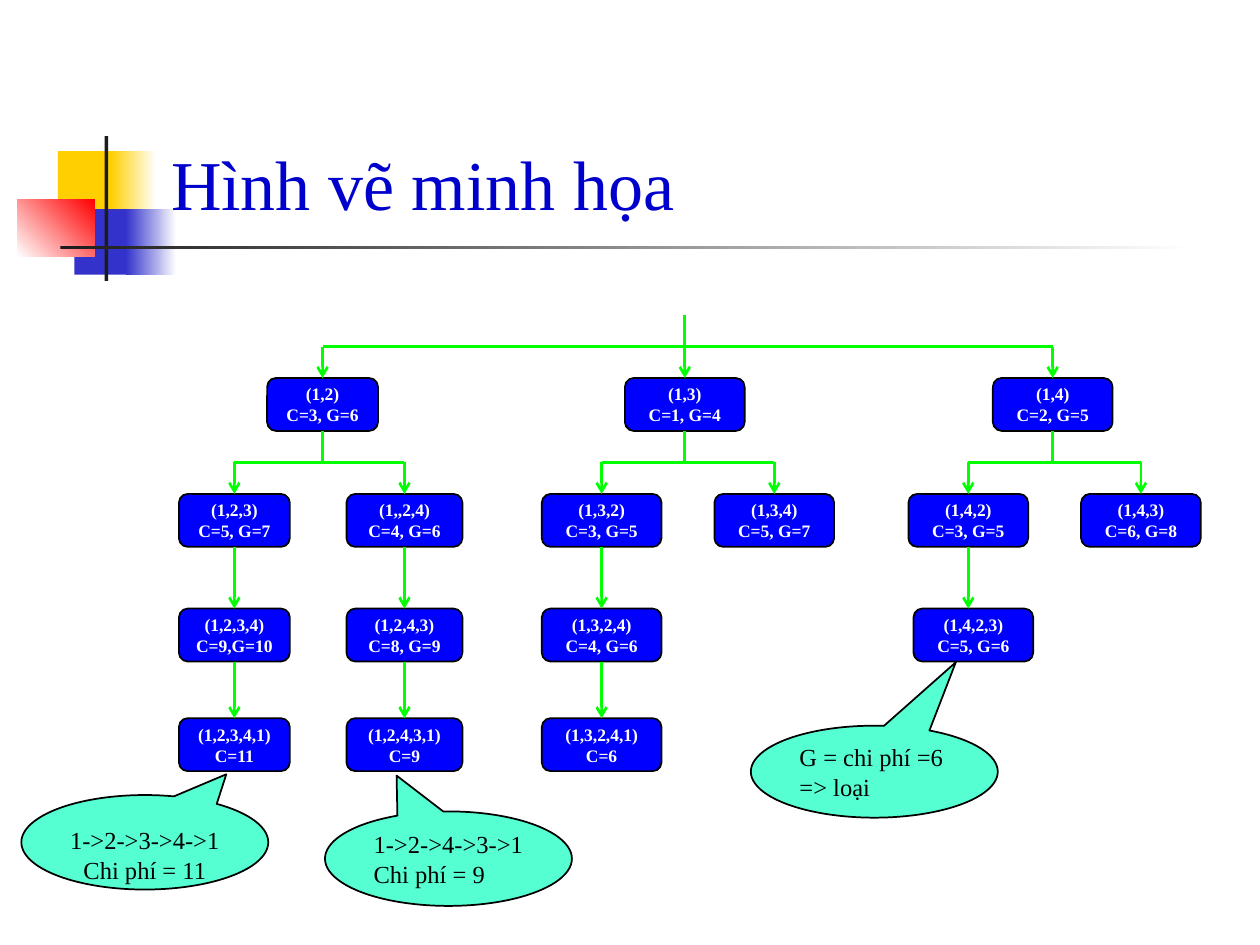
import pptx
import pptx.util
from pptx.dml.color import RGBColor
from pptx.enum.shapes import MSO_CONNECTOR, MSO_SHAPE
from pptx.enum.text import MSO_ANCHOR, PP_ALIGN
from pptx.oxml import parse_xml
from pptx.oxml.ns import nsdecls
from pptx.util import Inches

WHITE = RGBColor(0xFF, 0xFF, 0xFF)
BLACK = RGBColor(0, 0, 0)
INK = RGBColor(0x1C, 0x1C, 0x1C)
GOLD = RGBColor(0xFF, 0xCF, 0x01)
INDIGO = RGBColor(0x33, 0x33, 0xCC)
RED = RGBColor(0xFF, 0, 0)
NAVY = RGBColor(0, 0, 0xCC)
BLUE = RGBColor(0, 0, 0xFF)
GREEN = RGBColor(0, 0xFF, 0)
MINT = RGBColor(0x56, 0xFF, 0xD2)

ROWS = [3, 3.92, 4.83, 5.7]
HIGH = 0.42

# left, top, width, height, first colour, last colour, angle
DECOR = [
    (0.46, 1.2, 0.48, 0.52, GOLD, None, 0),
    (0.88, 1.2, 0.36, 0.52, GOLD, WHITE, 0),
    (0.59, 1.66, 0.46, 0.52, INDIGO, None, 0),
    (1, 1.66, 0.4, 0.52, INDIGO, WHITE, 0),
    (0.14, 1.58, 0.61, 0.46, WHITE, RED, 45),
    (0.83, 1.08, 0.03, 1.15, INK, None, 0),
    (0.48, 1.95, 9, 0.03, INK, WHITE, 0),
]

# Each branch: left, width, text, columns below it.
# Each column: width, then (left, text) from the second row down.
TREE = [
    (2.12, 0.88, "(1,2)\nC=3, G=6", [
        (0.88, [(1.42, "(1,2,3)\nC=5, G=7"), (1.42, "(1,2,3,4)\nC=9,G=10"),
                (1.42, "(1,2,3,4,1)\nC=11")]),
        (0.92, [(2.75, "(1,,2,4)\nC=4, G=6"), (2.75, "(1,2,4,3)\nC=8, G=9"),
                (2.75, "(1,2,4,3,1)\nC=9")]),
    ]),
    (4.96, 0.95, "(1,3)\nC=1, G=4", [
        (0.95, [(4.3, "(1,3,2)\nC=3, G=5"), (4.3, "(1,3,2,4)\nC=4, G=6"),
                (4.3, "(1,3,2,4,1)\nC=6")]),
        (0.95, [(5.67, "(1,3,4)\nC=5, G=7")]),
    ]),
    (7.88, 0.95, "(1,4)\nC=2, G=5", [
        (0.95, [(7.21, "(1,4,2)\nC=3, G=5"), (7.25, "(1,4,2,3)\nC=5, G=6")]),
        (0.95, [(8.58, "(1,4,3)\nC=6, G=8")]),
    ]),
]


def write(frame, text, size, color, bold=False, align=PP_ALIGN.LEFT,
          anchor=MSO_ANCHOR.MIDDLE, font="Times New Roman"):
    frame.word_wrap = True
    frame.vertical_anchor = anchor
    for i, line in enumerate(text.split("\n")):
        para = frame.paragraphs[0] if i == 0 else frame.add_paragraph()
        para.alignment = align
        run = para.add_run()
        run.text = line
        run.font.name = font
        run.font.size = pptx.util.Pt(size)
        run.font.bold = bold
        run.font.color.rgb = color


def center(shape):
    return shape.left + shape.width // 2


class Deck:
    def __init__(self):
        self.prs = pptx.Presentation()
        self.prs.slide_width = Inches(10)
        self.prs.slide_height = Inches(7.5)
        self.slide = self.prs.slides.add_slide(self.prs.slide_layouts[6])
        self.shapes = self.slide.shapes

    def shape(self, kind, x, y, w, h, fill, edge=None):
        shape = self.shapes.add_shape(
            kind, Inches(x), Inches(y), Inches(w), Inches(h))
        shape.shadow.inherit = False
        shape.fill.solid()
        shape.fill.fore_color.rgb = fill
        if edge is None:
            shape.line.fill.background()
        else:
            shape.line.color.rgb = edge
            shape.line.width = pptx.util.Pt(1)
        return shape

    def block(self, x, y, w, h, first, last, angle):
        """Draw a borderless rectangle, fading when a last colour is given."""
        shape = self.shape(MSO_SHAPE.RECTANGLE, x, y, w, h, first)
        if last is not None:
            shape.fill.gradient()
            shape.fill.gradient_angle = angle
            for stop, color in zip(shape.fill.gradient_stops, (first, last)):
                stop.color.rgb = color

    def title(self, text):
        box = self.shapes.add_textbox(
            Inches(1.26), Inches(0.23), Inches(8.52), Inches(1.6))
        write(box.text_frame, text, 40, NAVY, anchor=MSO_ANCHOR.BOTTOM)

    def node(self, x, row, w, text):
        shape = self.shape(MSO_SHAPE.ROUNDED_RECTANGLE, x, ROWS[row], w, HIGH,
                           BLUE, BLACK)
        frame = shape.text_frame
        frame.margin_left = frame.margin_right = Inches(0.03)
        frame.margin_top = frame.margin_bottom = 0
        write(frame, text, 10, WHITE, bold=True, align=PP_ALIGN.CENTER)
        return shape

    def line(self, x1, y1, x2, y2, start=None, end=None, arrow=False):
        """Draw a line, joined to the bottom of start and the top of end."""
        link = self.shapes.add_connector(
            MSO_CONNECTOR.STRAIGHT, x1, y1, x2, y2)
        link.line.color.rgb = GREEN
        link.line.width = pptx.util.Pt(1.5)
        if arrow:
            link.line._get_or_add_ln().append(
                parse_xml(f'<a:tailEnd {nsdecls("a")} type="arrow"/>'))
        link._element.spPr.append(
            parse_xml(f'<a:effectLst {nsdecls("a")}/>'))
        if start is not None:
            link.begin_connect(start, 2)
        if end is not None:
            link.end_connect(end, 0)

    def fork(self, x, top, bar, kids, start=None):
        """Draw a trunk down to a bar, and an arrow from the bar to each kid."""
        self.line(x, top, x, bar, start=start)
        for kid in kids:
            mid = center(kid)
            if mid != x:
                self.line(x, bar, mid, bar)
            self.line(mid, bar, mid, kid.top, end=kid, arrow=True)

    def chain(self, upper, lower):
        mid = center(upper)
        end = lower if center(lower) == mid else None
        self.line(mid, upper.top + upper.height, mid, lower.top,
                  start=upper, end=end, arrow=True)

    def bubble(self, x, y, h, tip, text, align=PP_ALIGN.LEFT, drop=0):
        """Draw a callout; drop moves its text down."""
        shape = self.shape(MSO_SHAPE.OVAL_CALLOUT, x, y, 1.96, h, MINT, BLACK)
        shape.adjustments[0], shape.adjustments[1] = tip
        shape.text_frame.margin_top = Inches(2 * drop)
        shape.text_frame.margin_bottom = 0
        write(shape.text_frame, text, 14, BLACK, align=align)


def main():
    deck = Deck()
    for part in DECOR:
        deck.block(*part)
    deck.title("Hình vẽ minh họa")

    heads = []
    for x, w, text, cols in TREE:
        head = deck.node(x, 0, w, text)
        heads.append(head)
        kids = []
        for wide, steps in cols:
            nodes = [deck.node(left, row, wide, label)
                     for row, (left, label) in enumerate(steps, 1)]
            kids.append(nodes[0])
            for upper, lower in zip(nodes, nodes[1:]):
                deck.chain(upper, lower)
        deck.fork(center(head), head.top + head.height, Inches(3.67), kids,
                  start=head)
    deck.fork(center(heads[1]), Inches(2.5), Inches(2.75), heads)

    deck.bubble(0.17, 6.31, 0.75, (0.33, -0.72),
                "1->2->3->4->1\nChi phí = 11", PP_ALIGN.CENTER, drop=0.1)
    deck.bubble(2.58, 6.44, 0.75, (-0.21, -0.88), "1->2->4->3->1\nChi phí = 9")
    deck.bubble(5.96, 5.76, 0.73, (0.33, -1.19), "G = chi phí =6 => loại")
    deck.prs.save("out.pptx")


if __name__ == "__main__":
    main()
